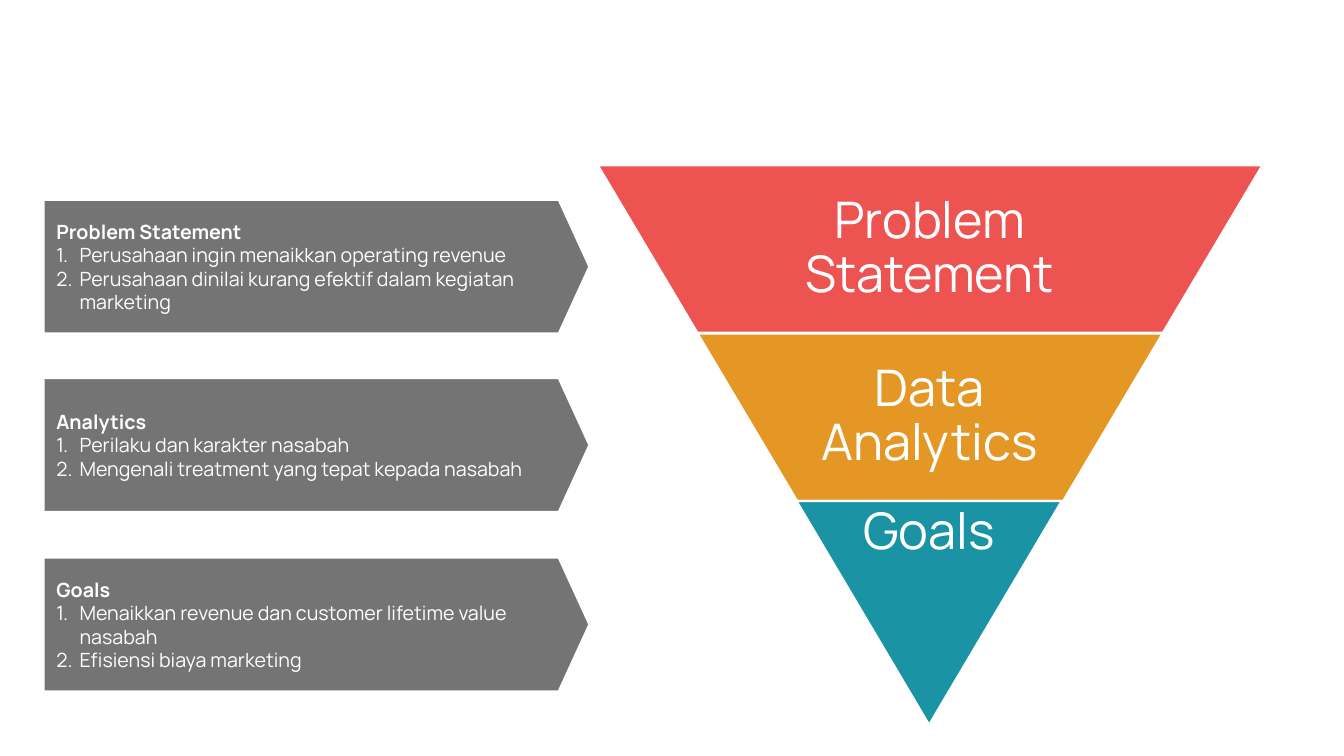
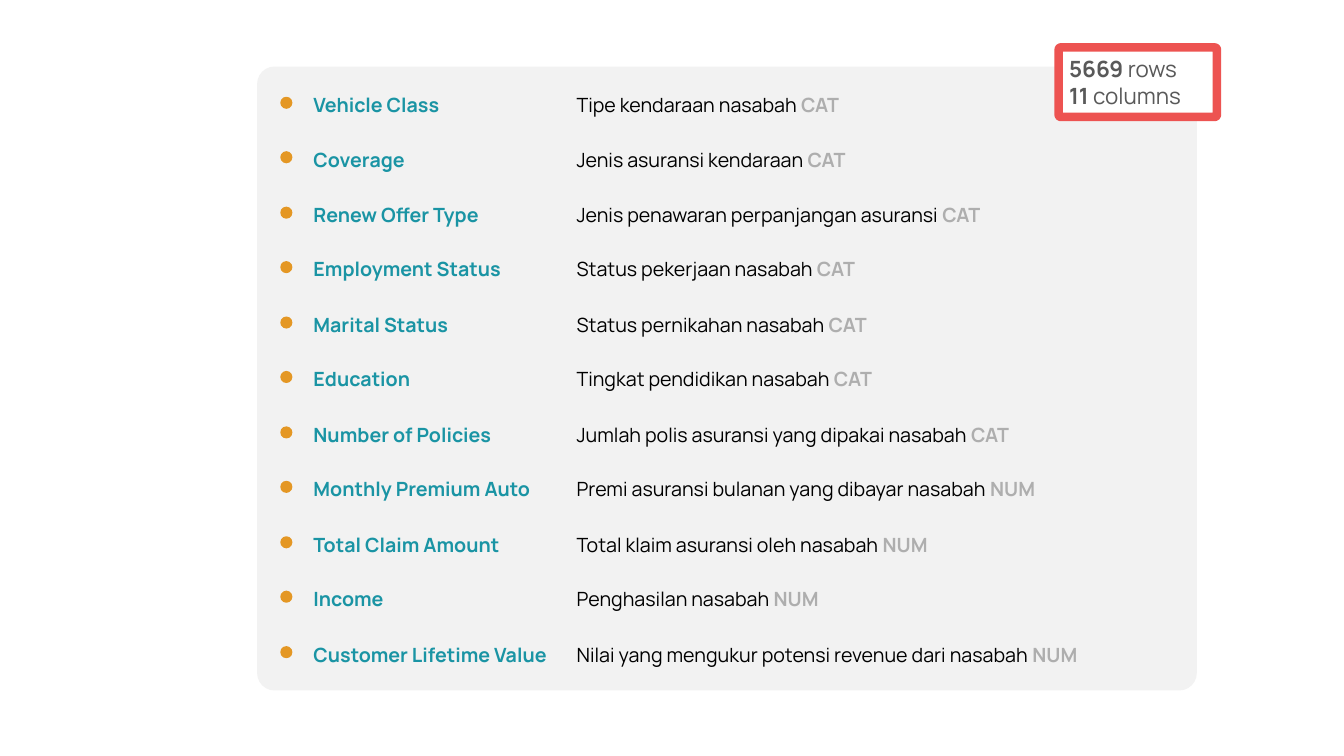
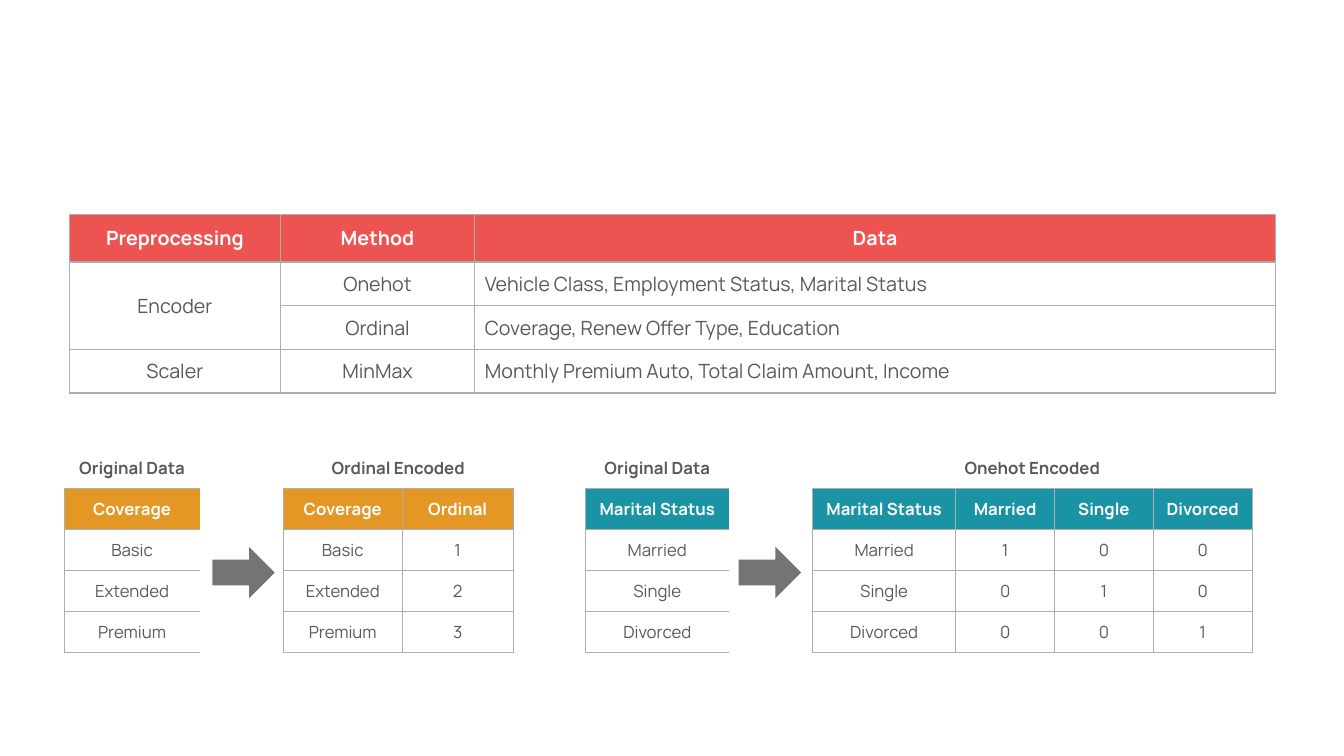
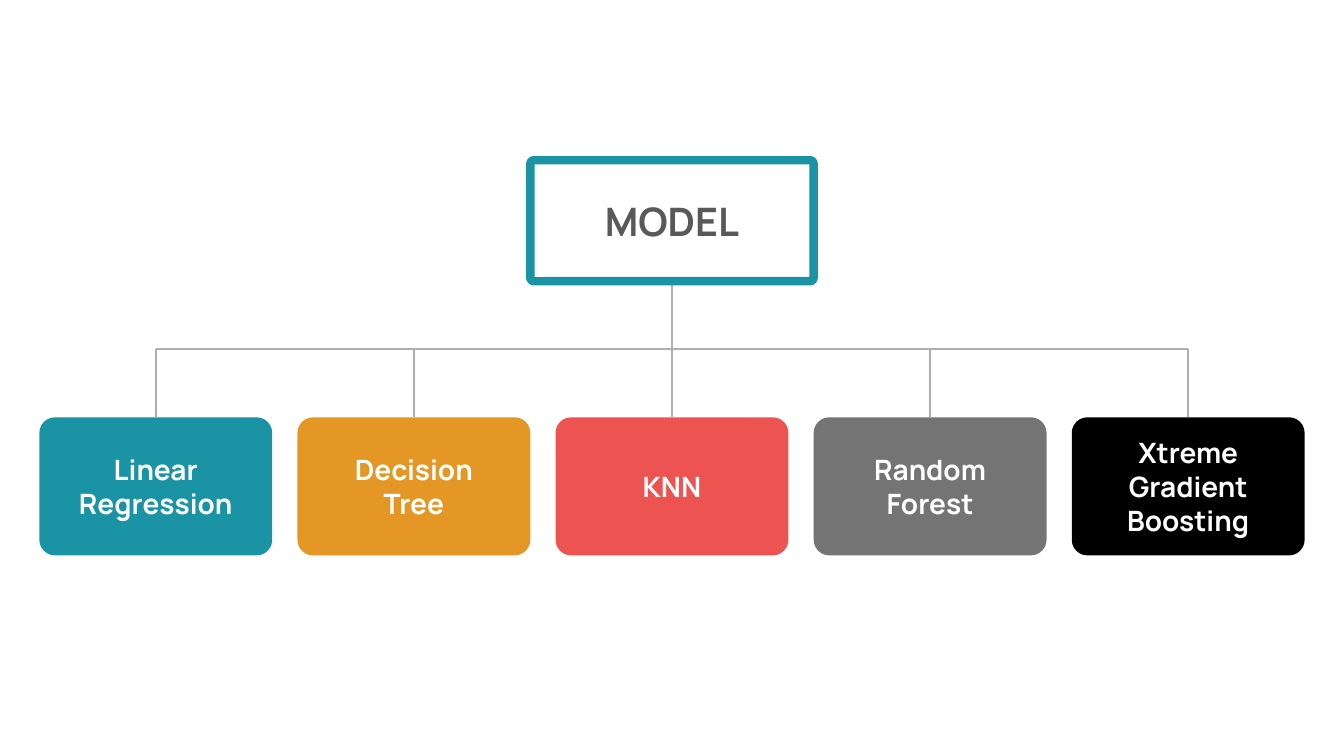
from lxml.etree import SubElement
from pptx import Presentation
from pptx.dml.color import RGBColor
from pptx.enum.shapes import MSO_CONNECTOR, MSO_SHAPE as SHAPE
from pptx.enum.text import MSO_ANCHOR as ANCHOR, PP_ALIGN as ALIGN
from pptx.oxml import parse_xml
from pptx.oxml.ns import nsdecls, qn
from pptx.util import Pt

PX = 9144
FONT = "Manrope"
RED, ORANGE, TEAL = "ED5351", "E49724", "1A94A4"
WHITE, BLACK, PALE = "FFFFFF", "000000", "F2F2F2"
GRAY, INK, RULE = "747474", "595959", "AEAEAE"
NO_GRID_STYLE = "{2D5ABB26-0587-4C30-8999-92F81FD0307C}"
rgb = RGBColor.from_string


def add_box(slide, kind, left, top, width, height, fill=None, line=None, points=6):
    place = [length * PX for length in (left, top, width, height)]
    if kind is None:
        shape = slide.shapes.add_textbox(*place)
    else:
        shape = slide.shapes.add_shape(kind, *place)
        shape.shadow.inherit = False
        shape.fill.solid()
        shape.fill.fore_color.rgb = rgb(fill)
        if line:
            shape.line.color.rgb = rgb(line)
            shape.line.width = Pt(points)
        else:
            shape.line.fill.background()
    shape.text_frame.word_wrap = True
    shape.text_frame.vertical_anchor = ANCHOR.MIDDLE
    return shape


def write(frame, lines, size, color, bold=False, align=ALIGN.LEFT):
    for index, line in enumerate(lines):
        paragraph = frame.add_paragraph() if index else frame.paragraphs[0]
        paragraph.alignment = align
        paragraph.font.name = FONT
        paragraph.font.size = Pt(size)
        if isinstance(line, str):
            paragraph.text = line
            paragraph.font.bold = bold
            paragraph.font.color.rgb = rgb(color)
            continue
        for text, run_color, run_bold in line:
            run = paragraph.add_run()
            run.text = text
            run.font.bold = run_bold
            run.font.color.rgb = rgb(run_color)


presentation = Presentation()
presentation.slide_width = 1333 * PX
presentation.slide_height = 750 * PX
blank = presentation.slide_layouts[6]

slide = presentation.slides.add_slide(blank)
funnel_center = 1844
bands = [
    ("Problem Statement", RED, 593, 164, 659, 166, 708, 428),
    ("Data Analytics", ORANGE, 692, 331, 461, 166, 772, 300),
    ("Goals", TEAL, 790, 497, 263, 222, 790, 263),
]
for label, color, left, top, width, height, text_left, text_width in bands:
    band = add_box(slide, SHAPE.TRAPEZOID, left, top, width, height, color, WHITE, 1.5)
    band.adjustments[0] = 0.594
    band.rotation = 180
    frame = add_box(slide, None, text_left, top, text_width, height).text_frame
    frame.margin_left = frame.margin_right = 5 * PX
    frame.margin_top = frame.margin_bottom = 5 * PX
    write(frame, [label], 36, WHITE, align=ALIGN.CENTER)
    frame.paragraphs[0].line_spacing = 0.9
frame.vertical_anchor = ANCHOR.TOP

statements = [
    ("Problem Statement", "Perusahaan ingin menaikkan operating revenue",
     "Perusahaan dinilai kurang efektif dalam kegiatan marketing"),
    ("Analytics", "Perilaku dan karakter nasabah",
     "Mengenali treatment yang tepat kepada nasabah"),
    ("Goals", "Menaikkan revenue dan customer lifetime value nasabah",
     "Efisiensi biaya marketing"),
]
for index, lines in enumerate(statements):
    pentagon = add_box(slide, SHAPE.PENTAGON, 40, 195 + 355 * index // 2, 548, 139,
                       GRAY, WHITE)
    pentagon.adjustments[0] = 0.229
    write(pentagon.text_frame, lines, 14, WHITE)
    heading, *items = pentagon.text_frame.paragraphs
    heading.font.bold = True
    for paragraph in (heading, *items):
        properties = paragraph._p.get_or_add_pPr()
        properties.set("marL", str(29 * PX))
        properties.set("indent", str(-23 * PX))
    for paragraph in items:
        properties = paragraph._p.get_or_add_pPr()
        properties.insert(0, parse_xml(
            f'<a:buAutoNum {nsdecls("a")} type="arabicPeriod"/>'))

slide = presentation.slides.add_slide(blank)
panel = add_box(slide, SHAPE.ROUNDED_RECTANGLE, 255, 66, 932, 619, PALE)
panel.adjustments[0] = 0.028
fields = [
    ("Vehicle Class", "Tipe kendaraan nasabah ", "CAT"),
    ("Coverage", "Jenis asuransi kendaraan ", "CAT"),
    ("Renew Offer Type", "Jenis penawaran perpanjangan asuransi ", "CAT"),
    ("Employment Status", "Status pekerjaan nasabah ", "CAT"),
    ("Marital Status", "Status pernikahan nasabah ", "CAT"),
    ("Education", "Tingkat pendidikan nasabah ", "CAT"),
    ("Number of Policies", "Jumlah polis asuransi yang dipakai nasabah ", "CAT"),
    ("Monthly Premium Auto", "Premi asuransi bulanan yang dibayar nasabah ", "NUM"),
    ("Total Claim Amount", "Total klaim asuransi oleh nasabah ", "NUM"),
    ("Income", "Penghasilan nasabah ", "NUM"),
    ("Customer Lifetime Value", "Nilai yang mengukur potensi revenue dari nasabah ", "NUM"),
]
for index, (field, meaning, data_type) in enumerate(fields):
    top = 92 + 109 * index // 2
    add_box(slide, SHAPE.OVAL, 278, top + 4, 12, 12, ORANGE)
    name_box = add_box(slide, None, 301, top, 271, 24)
    write(name_box.text_frame, [field], 14, TEAL, bold=True)
    meaning_box = add_box(slide, None, 562, top, 575, 24)
    write(meaning_box.text_frame,
          [[(meaning, BLACK, False), (data_type, RULE, True)]], 14, BLACK)
size_box = add_box(slide, SHAPE.ROUNDED_RECTANGLE, 1050, 47, 157, 69, WHITE, RED)
size_box.adjustments[0] = 0.028
write(size_box.text_frame,
      [[("5669", INK, True), (" rows", INK, False)],
       [("11", INK, True), (" columns", INK, False)]], 16, INK)

slide = presentation.slides.add_slide(blank)
methods = [
    ("Preprocessing", "Method", "Data"),
    ("Encoder", "Onehot", "Vehicle Class, Employment Status, Marital Status"),
    ("", "Ordinal", "Coverage, Renew Offer Type, Education"),
    ("Scaler", "MinMax", "Monthly Premium Auto, Total Claim Amount, Income"),
]
onehot = [
    ("Original Data", "", "Onehot Encoded", "", "", ""),
    ("Marital Status", "", "Marital Status", "Married", "Single", "Divorced"),
    ("Married", "", "Married", "1", "0", "0"),
    ("Single", "", "Single", "0", "1", "0"),
    ("Divorced", "", "Divorced", "0", "0", "1"),
]
ordinal = [
    ("Original Data", "", "Ordinal Encoded", ""),
    ("Coverage", "", "Coverage", "Ordinal"),
    ("Basic", "", "Basic", "1"),
    ("Extended", "", "Extended", "2"),
    ("Premium", "", "Premium", "3"),
]
tables = [
    (methods, 69, 213, 177, (209, 193, 794), 14, RED, 0, [(1, 0, 2, 0)]),
    (onehot, 581, 444, 203, (142, 83, 142, 98, 98, 98), 12, TEAL, 1,
     [(0, 1, 4, 1), (0, 2, 0, 5)]),
    (ordinal, 64, 444, 203, (134, 83, 118, 110), 12, ORANGE, 1,
     [(0, 1, 4, 1), (0, 2, 0, 3)]),
]
for rows, left, top, height, widths, size, color, header, merges in tables:
    table = slide.shapes.add_table(len(rows), len(widths), left * PX, top * PX,
                                   sum(widths) * PX, height * PX).table
    table.first_row = table.horz_banding = False
    table._tbl.tblPr.find(qn("a:tableStyleId")).text = NO_GRID_STYLE
    for column, width in zip(table.columns, widths):
        column.width = width * PX
    if rows is methods:
        for row, row_height in zip(table.rows, (47, 43, 44, 43)):
            row.height = row_height * PX
    for row_index, row in enumerate(rows):
        for column_index, text in enumerate(row):
            cell = table.cell(row_index, column_index)
            is_gap = header == 1 and column_index == 1
            is_header = row_index == header and not is_gap
            is_left_aligned = rows is methods and column_index == 2 and not is_header
            cell.vertical_anchor = ANCHOR.MIDDLE
            cell.fill.solid()
            cell.fill.fore_color.rgb = rgb(color if is_header else WHITE)
            write(cell.text_frame, [text], size, WHITE if is_header else INK,
                  row_index <= header, ALIGN.LEFT if is_left_aligned else ALIGN.CENTER)
            if is_gap:
                edges = ""
            elif row_index < header:
                edges = "B"
            elif header == 1 and column_index == 0:
                edges = "LTB"
            else:
                edges = "LRTB"
            properties = cell._tc.get_or_add_tcPr()
            for position, edge in enumerate(edges):
                properties.insert(position, parse_xml(
                    f'<a:ln{edge} {nsdecls("a")} w="{Pt(1)}"><a:solidFill>'
                    f'<a:srgbClr val="{RULE}"/></a:solidFill></a:ln{edge}>'))
    for first_row, first_column, last_row, last_column in merges:
        table.cell(first_row, first_column).merge(table.cell(last_row, last_column))
for left in (216, 738):
    arrow = add_box(slide, SHAPE.DOWN_ARROW, left, 537, 51, 62, GRAY)
    arrow.rotation = 270

slide = presentation.slides.add_slide(blank)
models = [
    (["Linear Regression"], TEAL),
    (["Decision", "Tree"], ORANGE),
    (["KNN"], RED),
    (["Random Forest"], GRAY),
    (["Xtreme Gradient Boosting"], BLACK),
]
cards = []
for index, (lines, color) in enumerate(models):
    card = add_box(slide, SHAPE.ROUNDED_RECTANGLE, 39 + 256 * index, 414, 231, 137, color)
    card.adjustments[0] = 0.113
    write(card.text_frame, lines, 20, WHITE, True, ALIGN.CENTER)
    cards.append(card)

centers = [card.left + card.width // 2 for card in cards]
bus_top = 346 * PX
ends = [(centers[0], centers[-1], bus_top)]
ends += [(center, center, cards[0].top) for center in centers]
connectors = []
for begin_x, end_x, end_y in ends:
    connector = slide.shapes.add_connector(MSO_CONNECTOR.STRAIGHT,
                                           begin_x, bus_top, end_x, end_y)
    connector.line.color.rgb = rgb(RULE)
    connector.line.width = Pt(1.5)
    SubElement(connector._element.spPr, qn("a:effectLst"))
    connectors.append(connector)
for connector, card in zip(connectors[1:], cards):
    connector.end_connect(card, 0)
root = add_box(slide, SHAPE.ROUNDED_RECTANGLE, 526, 159, 281, 120, WHITE, TEAL)
root.adjustments[0] = 0.028
write(root.text_frame, ["MODEL"], 28, INK, True, ALIGN.CENTER)
connectors[3].begin_connect(root, 2)

presentation.save("out.pptx")
